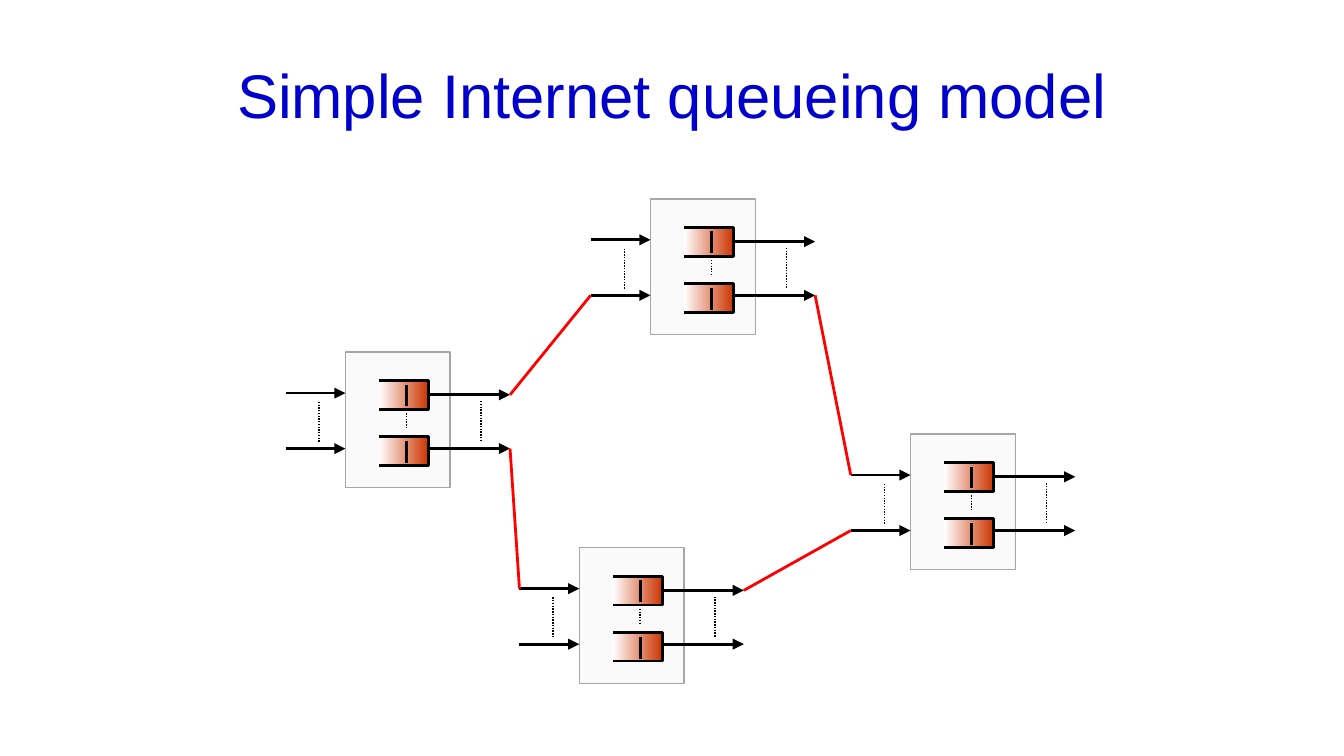
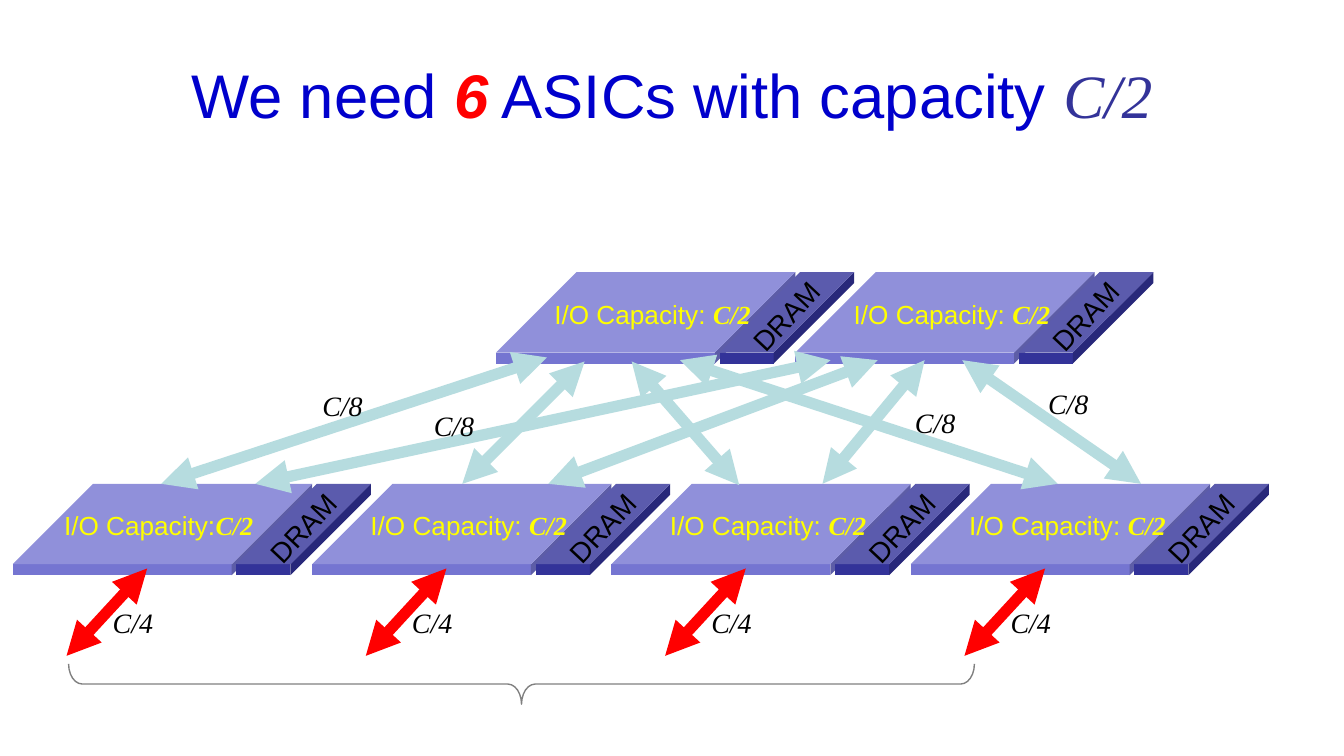
import dataclasses
import typing

import lxml.etree
import pptx
import pptx.dml.color
import pptx.enum.dml
import pptx.enum.shapes
import pptx.enum.text
import pptx.oxml.ns
import pptx.util

SLIDE_WIDTH = pptx.util.Inches(10)
SLIDE_HEIGHT = SLIDE_WIDTH * 9 // 16
GRID_COLUMNS = 100
CELL = SLIDE_WIDTH // GRID_COLUMNS

SANS = "Arial"
SERIF = "Times New Roman"
BLACK = "000000"
WHITE = "FFFFFF"
RED = "FF0000"
YELLOW = "FFFF00"
TITLE_BLUE = "0000CC"
NAVY = "333399"
CHIP_BLUE = "7575D1"
FABRIC_TEAL = "B6DCDF"
QUEUE_ORANGE = "CC3300"
ROUTER_FILL = "F2F2F2"
ROUTER_BORDER = "A6A6A6"
BRACE_GREY = "808080"

SHAPE = pptx.enum.shapes.MSO_SHAPE
ALIGN = pptx.enum.text.PP_ALIGN


class Point(typing.NamedTuple):
    column: float
    row: float

    def shift(self, columns: float, rows: float) -> "Point":
        return Point(self.column + columns, self.row + rows)


class Area(typing.NamedTuple):
    column: float
    row: float
    columns: float
    rows: float


@dataclasses.dataclass(frozen=True)
class Run:
    text: str
    size: float = 15
    font: str = SANS
    color: str = BLACK
    bold: bool = False
    italic: bool = False


@dataclasses.dataclass(frozen=True)
class Stroke:
    color: str = BLACK
    width: float = 1.5
    dotted: bool = False
    start_arrow: bool = False
    end_arrow: bool = False


class Link(typing.NamedTuple):
    source: int
    output_port: int
    target: int
    input_port: int


@dataclasses.dataclass(frozen=True)
class Chip:
    corner: Point
    label: str = "I/O Capacity: "
    label_shift: float = 0.4
    label_columns: float = 19.8


PLAIN = Stroke()
ARROW = Stroke(end_arrow=True)
DOTS = Stroke(width=0.75, dotted=True)
LINK = Stroke(color=RED)
EXTERNAL = Stroke(RED, 6, start_arrow=True, end_arrow=True)
FABRIC = Stroke(FABRIC_TEAL, 6, start_arrow=True, end_arrow=True)

ROUTERS = [Point(25.7, 26.2), Point(48.4, 14.8), Point(43.1, 40.75), Point(67.75, 32.3)]
ROUTER_LINKS = [Link(0, 0, 1, 1), Link(0, 1, 2, 0), Link(2, 0, 3, 1), Link(1, 1, 3, 0)]
INPUT_ROWS = (3.05, 7.18)
OUTPUT_ROWS = (3.18, 7.18)
QUEUE_ROWS = (2.13, 6.3)
QUEUE_MARK_ROWS = (2.42, 6.65)
INPUT_START = -4.45
OUTPUT_END = 12.25
QUEUE_LEFT, QUEUE_RIGHT, QUEUE_HEIGHT = 2.5, 6.2, 2.13
QUEUE_MARK = 4.53

CHIP_COLUMNS, CHIP_ROWS = 22.27, 6.8
LOWER_ROW, UPPER_ROW = 36, 20.25
LOWER_LEFT, UPPER_LEFT = 0.95, 36.9

FABRIC_LINES = [
    (Point(40.7, 26.6), Point(12, 36)),
    (Point(61.8, 26.8), Point(19, 36)),
    (Point(68.8, 26.8), Point(61.2, 36)),
    (Point(43.5, 26.9), Point(34.4, 36)),
    (Point(65.3, 26.8), Point(40.8, 36)),
    (Point(47, 26.9), Point(55, 36.1)),
    (Point(50.6, 26.8), Point(78.7, 36)),
    (Point(71.6, 26.8), Point(84.9, 36)),
]
FABRIC_LABELS = [Point(23, 28.4), Point(31.3, 29.9), Point(77, 28.3), Point(67.1, 29.7)]


def cells(count: float) -> pptx.util.Emu:
    return pptx.util.Emu(round(count * CELL))


def rgb(color: str) -> pptx.dml.color.RGBColor:
    return pptx.dml.color.RGBColor.from_string(color)


def add_child(parent, tag: str, **attributes: str):
    child = lxml.etree.SubElement(parent, pptx.oxml.ns.qn(tag))
    for name, value in attributes.items():
        child.set(name, value)
    return child


def write_text(paragraph, text: str, *, size: float, font: str, color: str,
               bold: bool, italic: bool) -> None:
    run = paragraph.add_run()
    run.text = text
    run.font.size = pptx.util.Pt(size)
    run.font.name = font
    run.font.bold = bold
    run.font.italic = italic
    run.font.color.rgb = rgb(color)


def add_text(slide, area: Area, runs: list[Run], align=ALIGN.LEFT, wrap: bool = False,
             rotation: float = 0, indent: float = 1):
    box = slide.shapes.add_textbox(*map(cells, area))
    box.rotation = rotation
    frame = box.text_frame
    frame.word_wrap = wrap
    frame.margin_left = cells(indent)
    if not wrap:
        frame.auto_size = pptx.enum.text.MSO_AUTO_SIZE.SHAPE_TO_FIT_TEXT
    paragraph = frame.paragraphs[0]
    paragraph.alignment = align
    for run in runs:
        write_text(paragraph, **dataclasses.asdict(run))
    return box


def add_title(slide, runs: list[Run]) -> None:
    title = add_text(slide, Area(5, 2.3, 90, 9.4), runs, ALIGN.CENTER, wrap=True)
    title.text_frame.vertical_anchor = pptx.enum.text.MSO_ANCHOR.MIDDLE


def title_run(text: str, **changes) -> Run:
    return dataclasses.replace(Run(text, size=33, color=TITLE_BLUE), **changes)


def add_capacity(slide, corner: Point, text: str) -> None:
    add_text(slide, Area(*corner, 5.4, 3.5), [Run(text, font=SERIF, italic=True)])


def add_line(slide, start: Point, end: Point, stroke: Stroke) -> None:
    connector = slide.shapes.add_connector(
        pptx.enum.shapes.MSO_CONNECTOR.STRAIGHT, *map(cells, (*start, *end)))
    connector.line.color.rgb = rgb(stroke.color)
    connector.line.width = pptx.util.Pt(stroke.width)
    if stroke.dotted:
        connector.line.dash_style = pptx.enum.dml.MSO_LINE.ROUND_DOT
    properties = connector.element.spPr
    outline = properties.find(pptx.oxml.ns.qn("a:ln"))
    if stroke.start_arrow:
        add_child(outline, "a:headEnd", type="triangle")
    if stroke.end_arrow:
        add_child(outline, "a:tailEnd", type="triangle")
    add_child(properties, "a:effectLst")


def add_figure(slide, kind, area: Area, fill: str | None = None,
               border: str | None = None):
    shape = slide.shapes.add_shape(kind, *map(cells, area))
    shape.shadow.inherit = False
    if fill:
        shape.fill.solid()
        shape.fill.fore_color.rgb = rgb(fill)
    else:
        shape.fill.background()
    if border:
        shape.line.color.rgb = rgb(border)
        shape.line.width = pptx.util.Pt(0.75)
    else:
        shape.line.fill.background()
    return shape


def add_queue(slide, corner: Point) -> None:
    width = QUEUE_RIGHT - QUEUE_LEFT
    outline = [corner.shift(width, 0), corner.shift(width, QUEUE_HEIGHT),
               corner.shift(0, QUEUE_HEIGHT)]
    builder = slide.shapes.build_freeform(*map(cells, corner))
    builder.add_line_segments([tuple(map(cells, point)) for point in outline], close=False)
    queue = builder.convert_to_shape()
    queue.shadow.inherit = False
    queue.fill.gradient()
    queue.fill.gradient_angle = 0
    for stop, position, color in zip(queue.fill.gradient_stops, (0, 1), (WHITE, QUEUE_ORANGE)):
        stop.position = position
        stop.color.rgb = rgb(color)
    queue.line.color.rgb = rgb(BLACK)
    queue.line.width = pptx.util.Pt(1.5)


def add_router(slide, corner: Point) -> None:
    body = add_figure(slide, SHAPE.RECTANGLE, Area(*corner, 7.8, 10.1),
                      ROUTER_FILL, ROUTER_BORDER)
    fill_color = body.element.spPr.find(
        f"{pptx.oxml.ns.qn('a:solidFill')}/{pptx.oxml.ns.qn('a:srgbClr')}")
    add_child(fill_color, "a:alpha", val="34000")
    for queue_row, mark_row, input_row, output_row in zip(
            QUEUE_ROWS, QUEUE_MARK_ROWS, INPUT_ROWS, OUTPUT_ROWS):
        add_queue(slide, corner.shift(QUEUE_LEFT, queue_row))
        add_line(slide, corner.shift(QUEUE_MARK, mark_row),
                 corner.shift(QUEUE_MARK, mark_row + 1.6), PLAIN)
        add_line(slide, corner.shift(INPUT_START, input_row),
                 corner.shift(0, input_row), ARROW)
        add_line(slide, corner.shift(QUEUE_RIGHT, output_row),
                 corner.shift(OUTPUT_END, output_row), ARROW)
    for column, top, bottom in ((QUEUE_MARK, 4.55, 5.7), (-1.95, 3.7, 6.75), (10.1, 3.65, 6.7)):
        add_line(slide, corner.shift(column, top), corner.shift(column, bottom), DOTS)


def add_cube(slide, area: Area, fill: str) -> None:
    add_figure(slide, SHAPE.CUBE, area, fill).adjustments[0] = 0.88


def add_chip(slide, chip: Chip) -> None:
    corner = chip.corner
    add_cube(slide, Area(*corner, CHIP_COLUMNS, CHIP_ROWS), CHIP_BLUE)
    add_text(slide, Area(*corner.shift(chip.label_shift, 1.45), chip.label_columns, 3.4),
             [Run(chip.label, 14, color=YELLOW),
              Run("C/2", 14, SERIF, YELLOW, bold=True, italic=True)],
             ALIGN.CENTER, indent=3.7)
    add_cube(slide, Area(*corner.shift(16.65, 0), 10, CHIP_ROWS), NAVY)
    add_text(slide, Area(*corner.shift(17.5, 1.5), 8.2, 3.5), [Run("DRAM")], rotation=313.2)


def build_queueing_slide(slide) -> None:
    add_title(slide, [title_run("Simple Internet queueing model")])
    for corner in ROUTERS:
        add_router(slide, corner)
    for link in ROUTER_LINKS:
        add_line(slide, ROUTERS[link.source].shift(OUTPUT_END, OUTPUT_ROWS[link.output_port]),
                 ROUTERS[link.target].shift(INPUT_START, INPUT_ROWS[link.input_port]), LINK)


def build_capacity_slide(slide) -> None:
    add_title(slide, [
        title_run("We need "),
        title_run("6", color=RED, bold=True, italic=True),
        title_run(" ASICs with capacity "),
        title_run("C/2", font=SERIF, color=NAVY, italic=True),
    ])
    lower_chips = [Chip(Point(LOWER_LEFT + index * CHIP_COLUMNS, LOWER_ROW))
                   for index in range(4)]
    lower_chips[0] = Chip(lower_chips[0].corner, "I/O Capacity:", -0.1, 19.2)
    upper_chips = [Chip(Point(UPPER_LEFT + index * CHIP_COLUMNS, UPPER_ROW))
                   for index in range(2)]
    for chip in lower_chips:
        add_chip(slide, chip)
        add_line(slide, chip.corner.shift(10, 6.3), chip.corner.shift(4, 12.8), EXTERNAL)
        add_capacity(slide, chip.corner.shift(6.45, 8.6), "C/4")
    for chip in upper_chips:
        add_chip(slide, chip)
    brace = add_figure(slide, SHAPE.RIGHT_BRACE, Area(37.3, 17.2, 3, 67.4), border=BRACE_GREY)
    brace.rotation = 90
    brace.adjustments[0] = 0.34
    for start, end in FABRIC_LINES:
        add_line(slide, start, end, FABRIC)
    for corner in FABRIC_LABELS:
        add_capacity(slide, corner, "C/8")


def main() -> None:
    presentation = pptx.Presentation()
    presentation.slide_width = SLIDE_WIDTH
    presentation.slide_height = SLIDE_HEIGHT
    for build in (build_queueing_slide, build_capacity_slide):
        build(presentation.slides.add_slide(presentation.slide_layouts[6]))
    presentation.save("out.pptx")


if __name__ == "__main__":
    main()
